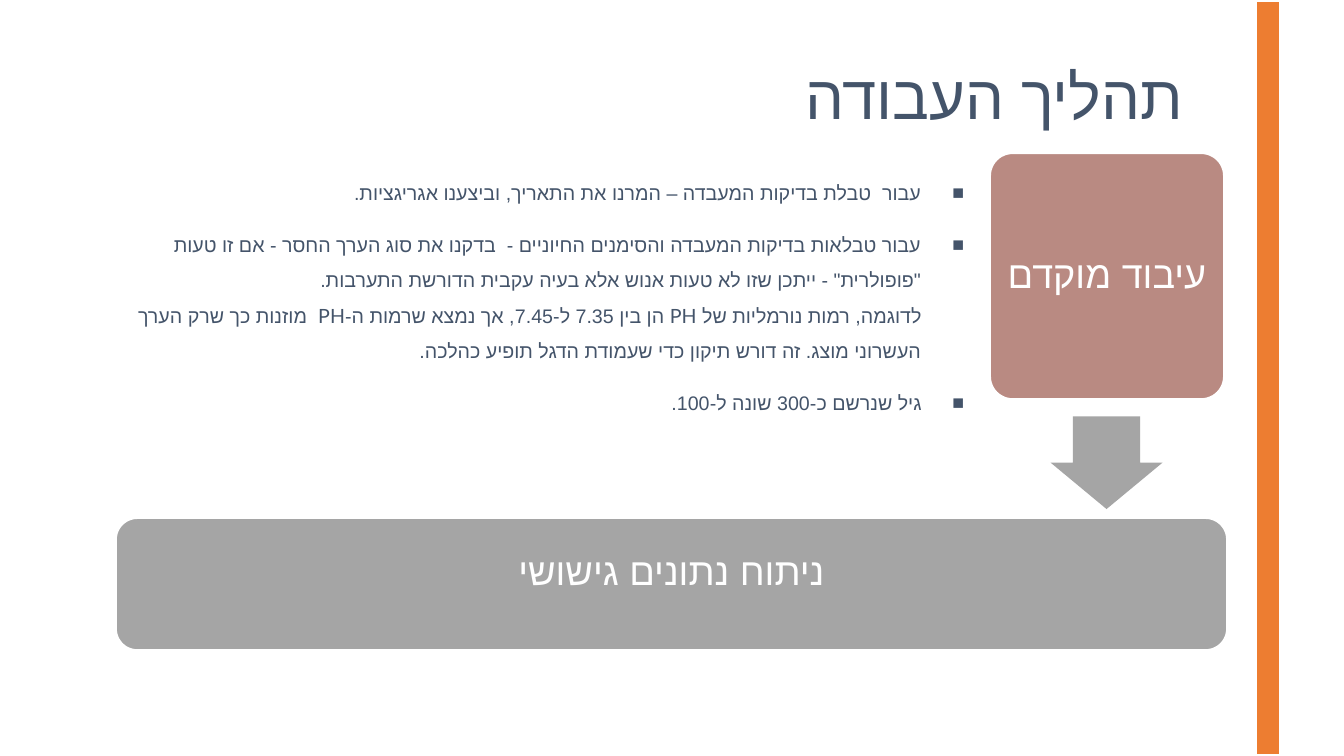
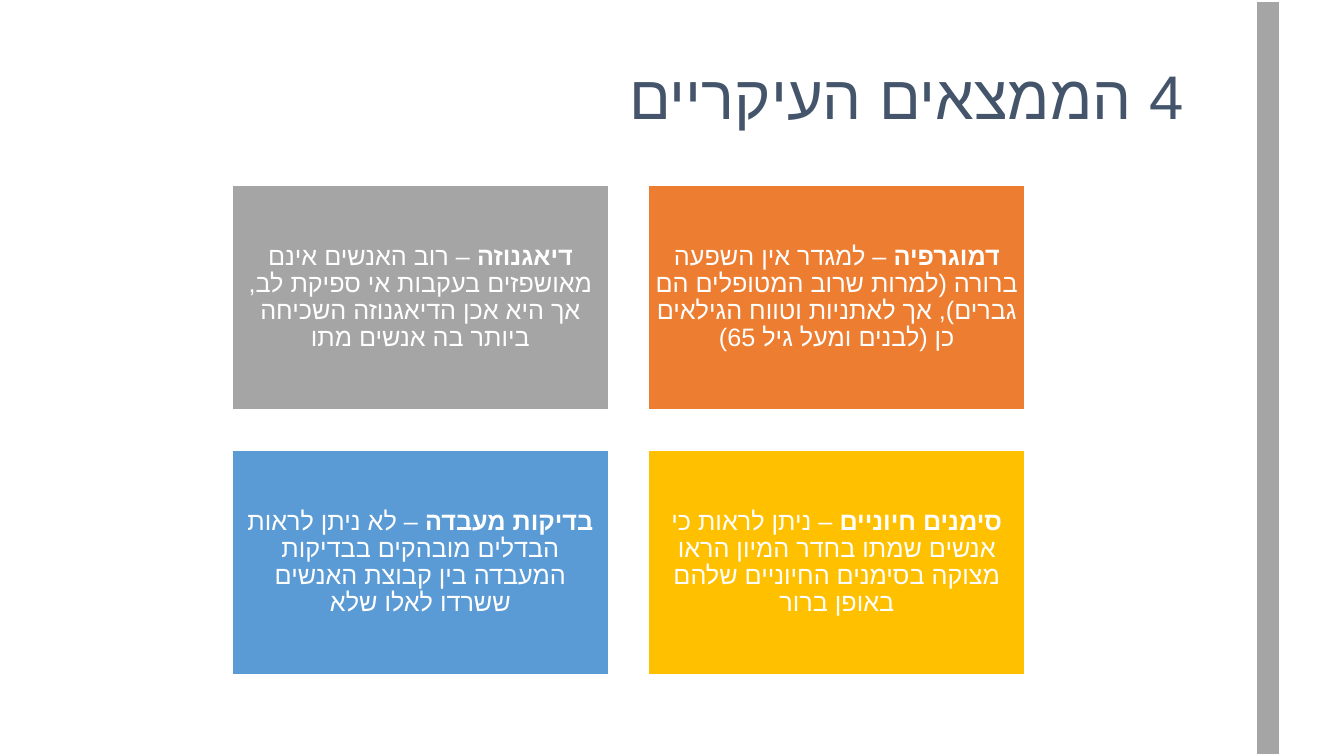
"""Build two Hebrew slides: the work process and the four main findings."""
from copy import deepcopy
from dataclasses import dataclass

from lxml import etree
from pptx import Presentation
from pptx import util as u
from pptx.dml.color import RGBColor
from pptx.enum import shapes, text
from pptx.oxml.ns import qn

PX = 9144
TITLE_ONLY = 5


@dataclass(frozen=True)
class Theme:
    """Colours, typefaces and type sizes of the deck."""
    font: str = "Lato"
    hebrew_font: str = "Arial"
    navy: str = "44546A"
    orange: str = "ED7D31"
    grey: str = "A5A5A5"
    gold: str = "FFC000"
    blue: str = "5B9BD5"
    rose: str = "B98A82"
    white: str = "FFFFFF"
    title: int = 44
    stage: int = 27
    card: int = 18
    body: int = 14
    outline: float = 2.75


THEME = Theme()


@dataclass(frozen=True)
class Box:
    """A rectangle in px, a hundred to the inch."""
    left: int
    top: int
    width: int
    height: int

    def emu(self) -> tuple:
        """Return the four lengths in EMU."""
        return tuple(n * PX for n in (self.left, self.top, self.width, self.height))


@dataclass(frozen=True)
class Panel:
    """A filled shape with an optional bold lead and a line of text."""
    box: Box
    fill: str
    words: str = ""
    lead: str = ""
    size: int = THEME.stage
    kind: shapes.MSO_SHAPE = shapes.MSO_SHAPE.RECTANGLE
    adjust: tuple = ()
    outlined: bool = True
    inset: int = 7
    inset_bottom: int = 7
    spacing: float = 0.9


@dataclass(frozen=True)
class Finding:
    """One main finding and the colour of its card."""
    lead: str
    words: str
    fill: str


STRIPE = Box(1245, 0, 25, 750)
TITLE = Box(114, 61, 1070, 162)
STEPS = Box(114, 163, 852, 306)
FIRST_CARD = Box(642, 183, 376, 225)
CARD_GAP_X, CARD_GAP_Y = 37, 38
BULLET_INDENT = 42

PROCESS_TITLE = "תהליך העבודה"
PROCESS_STEPS = (
    "עבור  טבלת בדיקות המעבדה – המרנו את התאריך, וביצענו אגריגציות.",
    "עבור טבלאות בדיקות המעבדה והסימנים החיוניים -  בדקנו את סוג הערך החסר - "
    "אם זו טעות \"פופולרית\" - ייתכן שזו לא טעות אנוש אלא בעיה עקבית הדורשת התערבות. \v"
    "לדוגמה, רמות נורמליות של PH הן בין 7.35 ל-7.45, אך נמצא שרמות ה-PH  מוזנות כך "
    "שרק הערך העשרוני מוצג. זה דורש תיקון כדי שעמודת הדגל תופיע כהלכה.",
    "גיל שנרשם כ-300 שונה ל-100.",
)
STAGES = (
    Panel(Box(981, 151, 234, 246), THEME.rose, "עיבוד מוקדם",
          kind=shapes.MSO_SHAPE.ROUNDED_RECTANGLE, adjust=(0.1,), inset=11, inset_bottom=11),
    Panel(Box(1042, 413, 111, 92), THEME.grey,
          kind=shapes.MSO_SHAPE.DOWN_ARROW, adjust=(0.6, 0.5), outlined=False),
    Panel(Box(114, 513, 1104, 133), THEME.grey, "ניתוח נתונים גישושי",
          kind=shapes.MSO_SHAPE.ROUNDED_RECTANGLE, inset=18, inset_bottom=46, spacing=1.0),
)
FINDINGS_TITLE = "4 הממצאים העיקריים"
FINDINGS = (
    Finding("דמוגרפיה", " – למגדר אין השפעה ברורה (למרות שרוב המטופלים הם גברים), "
            "אך לאתניות וטווח הגילאים כן (לבנים ומעל גיל 65)", THEME.orange),
    Finding("דיאגנוזה", " – רוב האנשים אינם מאושפזים בעקבות אי ספיקת לב, "
            "אך היא אכן הדיאגנוזה השכיחה ביותר בה אנשים מתו", THEME.grey),
    Finding("סימנים חיוניים ", "– ניתן לראות כי אנשים שמתו בחדר המיון הראו מצוקה "
            "בסימנים החיוניים שלהם באופן ברור", THEME.gold),
    Finding("בדיקות מעבדה ", "– לא ניתן לראות הבדלים מובהקים בבדיקות המעבדה "
            "בין קבוצת האנשים ששרדו לאלו שלא", THEME.blue),
)


def apply(target, values: dict) -> None:
    """Set every attribute named in the format values."""
    for name, value in values.items():
        setattr(target, name, value)


def style_run(run, size: int, colour: str, bold: bool = False) -> None:
    """Format a run for both Latin and Hebrew letters."""
    apply(run.font, {"name": THEME.font, "size": u.Pt(size), "bold": bold})
    run.font.color.rgb = RGBColor.from_string(colour)
    hebrew = etree.SubElement(run.font._element, qn("a:cs"))
    hebrew.set("typeface", THEME.hebrew_font)


def style_paragraph(paragraph, values: dict) -> None:
    """Format a paragraph and make it run right to left."""
    apply(paragraph, values)
    paragraph._p.get_or_add_pPr().set("rtl", "1")


def add_title(slide, words: str) -> None:
    """Place and format the title placeholder."""
    title = slide.shapes.title
    apply(title, dict(zip(("left", "top", "width", "height"), TITLE.emu())))
    title.text_frame.text = words
    apply(title.text_frame, {"vertical_anchor": text.MSO_ANCHOR.TOP,
                             "auto_size": text.MSO_AUTO_SIZE.NONE, "word_wrap": True})
    heading = title.text_frame.paragraphs[0]
    style_paragraph(heading, {"alignment": text.PP_ALIGN.RIGHT, "line_spacing": 0.89})
    style_run(heading.runs[0], THEME.title, THEME.navy)


def add_panel(slide, panel: Panel) -> None:
    """Draw a filled shape with its centred text."""
    shape = slide.shapes.add_shape(panel.kind, *panel.box.emu())
    shape.shadow.inherit = False
    shape.fill.solid()
    shape.fill.fore_color.rgb = RGBColor.from_string(panel.fill)
    if panel.outlined:
        shape.line.width = u.Pt(THEME.outline)
        shape.line.color.rgb = RGBColor.from_string(THEME.white)
    else:
        shape.line.fill.background()
    for index, value in enumerate(panel.adjust):
        shape.adjustments[index] = value
    if not panel.words:
        return
    inset = panel.inset * PX
    apply(shape.text_frame, {"word_wrap": True, "vertical_anchor": text.MSO_ANCHOR.MIDDLE,
                             "margin_left": inset, "margin_right": inset, "margin_top": inset,
                             "margin_bottom": panel.inset_bottom * PX})
    label = shape.text_frame.paragraphs[0]
    style_paragraph(label, {"alignment": text.PP_ALIGN.CENTER, "line_spacing": panel.spacing})
    for words, bold in ((panel.lead, True), (panel.words, False)):
        if words:
            run = label.add_run()
            run.text = words
            style_run(run, panel.size, THEME.white, bold)


def add_bullet(paragraph) -> None:
    """Give a paragraph a square bullet and a hanging indent."""
    properties = paragraph._p.get_or_add_pPr()
    indent = BULLET_INDENT * PX
    for name, value in {"marL": indent, "indent": -indent}.items():
        properties.set(name, str(value))
    for tag, name, value in (("a:buSzPct", "val", "100000"), ("a:buFont", "typeface", "Arial"),
                             ("a:buChar", "char", "■")):
        etree.SubElement(properties, qn(tag)).set(name, value)


def add_steps(slide, steps: tuple) -> None:
    """Write the bulleted steps of the process."""
    frame = slide.shapes.add_textbox(*STEPS.emu()).text_frame
    frame.word_wrap = True
    for index, words in enumerate(steps):
        step = frame.add_paragraph() if index else frame.paragraphs[0]
        step.text = words
        style_paragraph(step, {"alignment": text.PP_ALIGN.RIGHT, "line_spacing": 1.5,
                               "space_before": u.Pt(10), "space_after": u.Pt(2)})
        add_bullet(step)
        for run in step.runs:
            style_run(run, THEME.body, THEME.navy)
        for line_break in step._p.findall(qn("a:br")):
            line_break.append(deepcopy(step.runs[0].font._element))


def finding_panel(index: int, finding: Finding) -> Panel:
    """Place a finding in the grid, filled from right to left."""
    row, column = divmod(index, 2)
    first = FIRST_CARD
    box = Box(first.left - column * (first.width + CARD_GAP_X),
              first.top + row * (first.height + CARD_GAP_Y), first.width, first.height)
    return Panel(box, finding.fill, finding.words, finding.lead, THEME.card)


def add_slide(deck, title: str, stripe_colour: str):
    """Add a slide with the shared title and side stripe."""
    slide = deck.slides.add_slide(deck.slide_layouts[TITLE_ONLY])
    add_title(slide, title)
    add_panel(slide, Panel(STRIPE, stripe_colour))
    return slide


def main() -> None:
    """Build and save the deck."""
    deck = Presentation()
    apply(deck, {"slide_width": 1333 * PX, "slide_height": 750 * PX})
    process = add_slide(deck, PROCESS_TITLE, THEME.orange)
    add_steps(process, PROCESS_STEPS)
    for stage in STAGES:
        add_panel(process, stage)
    findings = add_slide(deck, FINDINGS_TITLE, THEME.grey)
    for index, finding in enumerate(FINDINGS):
        add_panel(findings, finding_panel(index, finding))
    deck.save("out.pptx")


if __name__ == "__main__":
    main()
